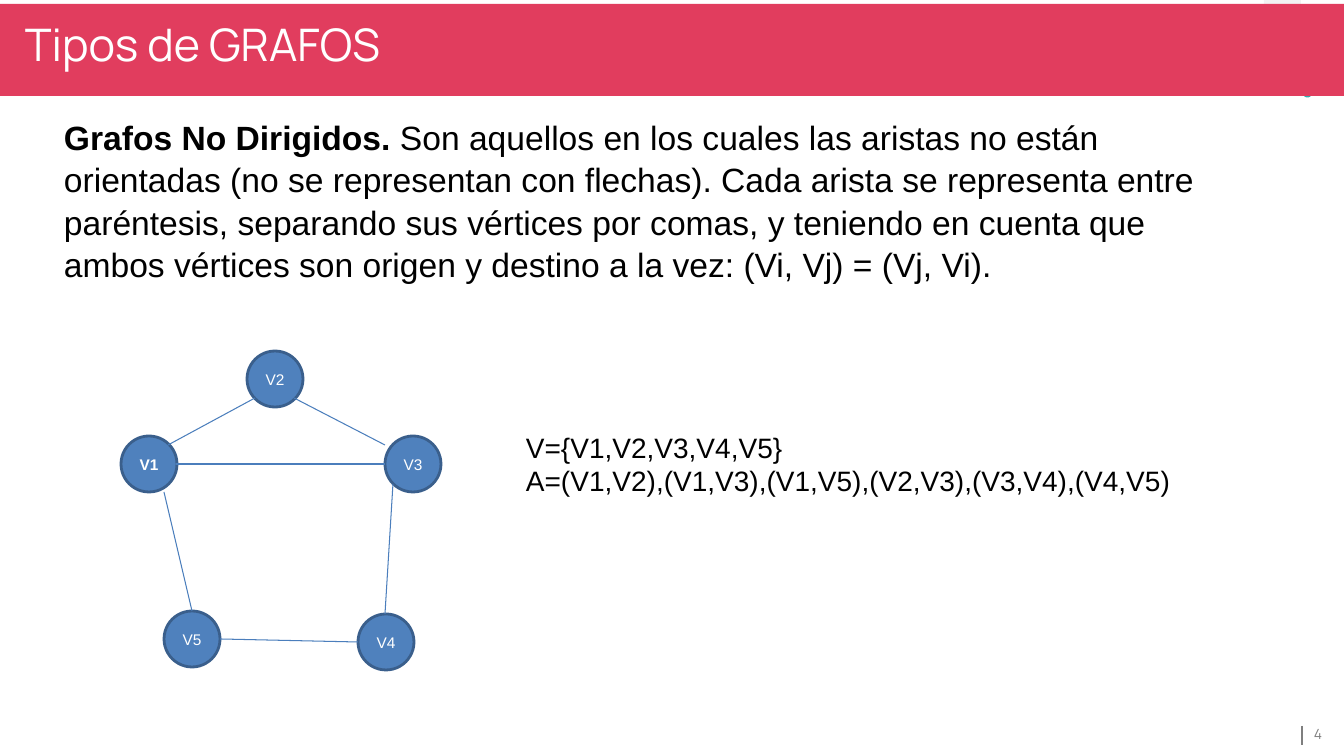
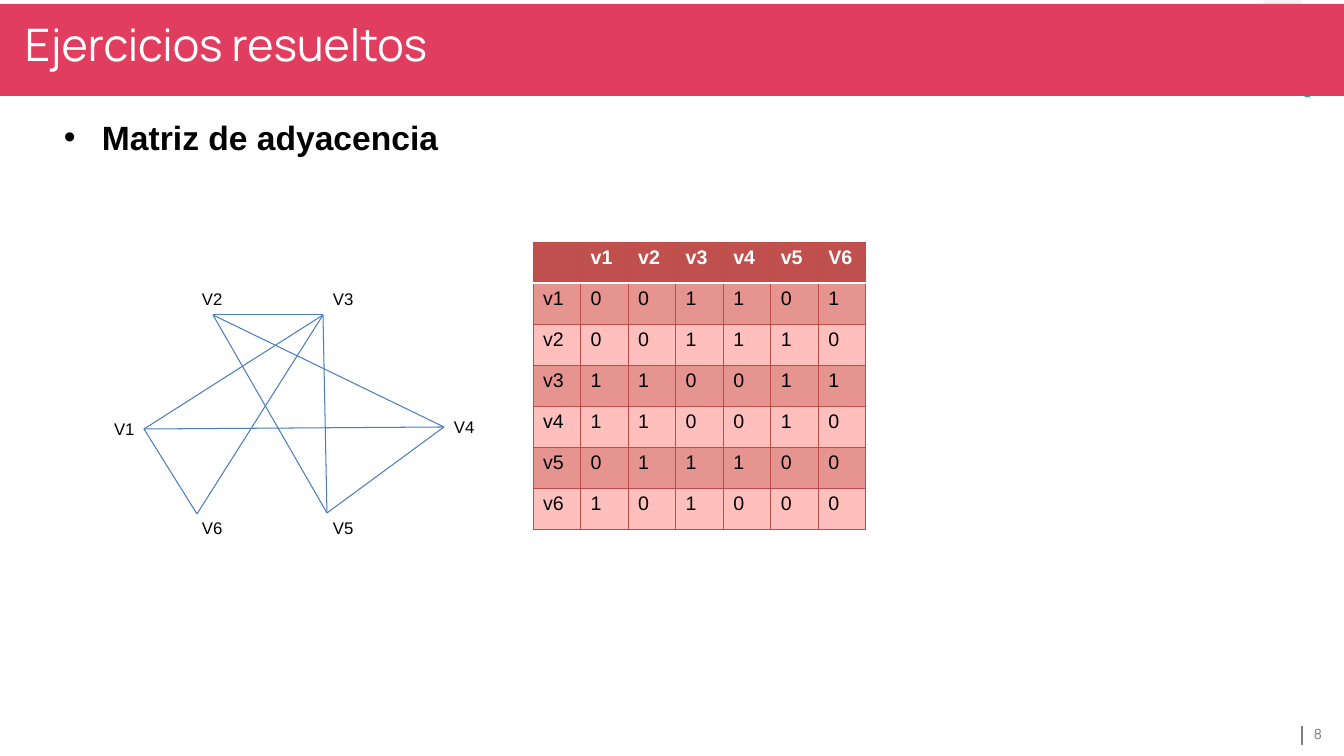
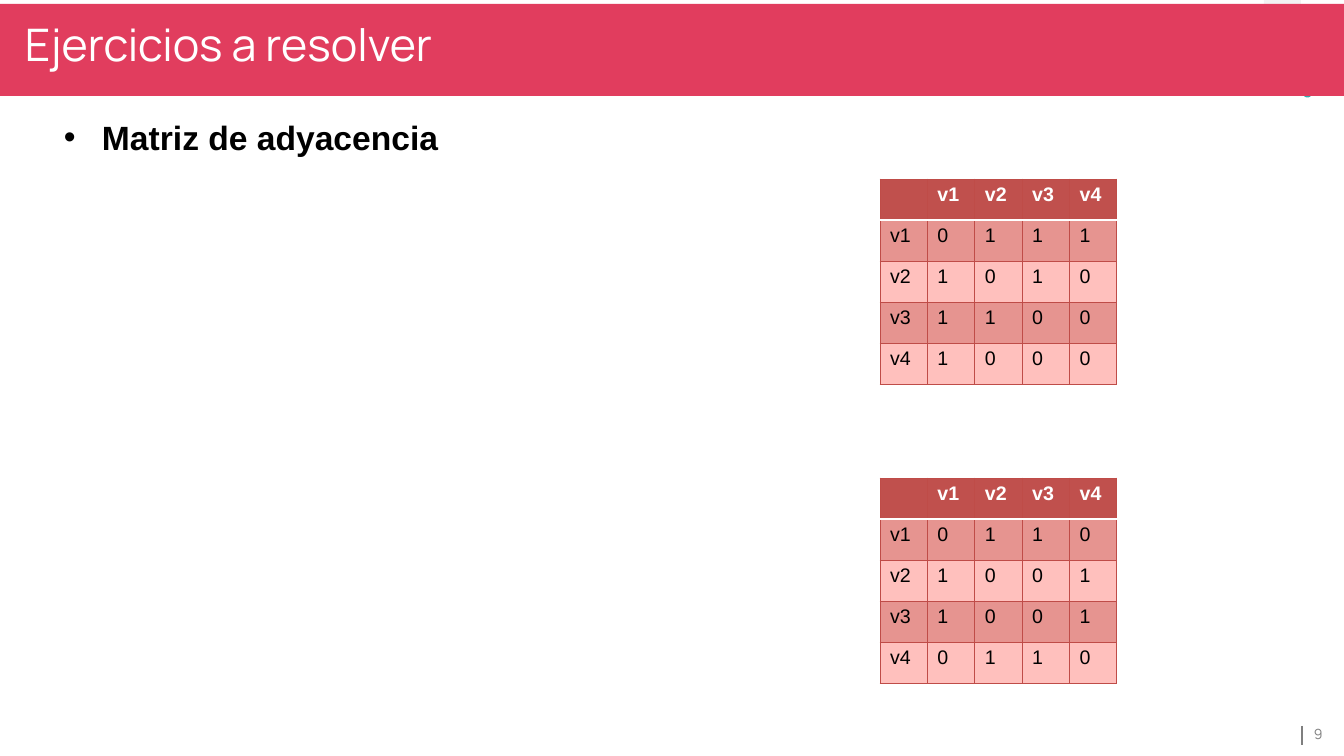
"""Build three slides on graph types and adjacency matrices."""
from dataclasses import dataclass

from lxml.etree import SubElement
from pptx import Presentation
from pptx.dml.color import RGBColor
from pptx.enum.shapes import MSO_CONNECTOR as Connector, MSO_SHAPE as Shape
from pptx.enum.text import MSO_ANCHOR as Anchor, PP_ALIGN as Align
from pptx.oxml.ns import qn
from pptx.util import Emu, Pt


@dataclass(frozen=True)
class Theme:
    band: str = "E13D5E"
    corner: str = "F2F2F2"
    accent: str = "32AAAF"
    footer: str = "7F7F7F"
    ink: str = "000000"
    paper: str = "FFFFFF"
    node: str = "4F81BD"
    node_line: str = "3A5F8C"
    edge: str = "4B7EBC"
    head: str = "C0504D"
    grid: str = "BF4C48"
    odd_row: str = "E69490"
    even_row: str = "FFC0BD"
    title_font: str = "Manrope"
    body_font: str = "Arial"
    title_size: int = 32
    body_size: int = 24
    sets_size: int = 20
    cell_size: int = 14
    label_size: int = 12
    node_size: int = 11
    footer_size: int = 10


THEME = Theme()
SCALE = 914400 / 100.8
ROW_HEIGHT = 41
NODE_DIAMETER = 56
LABEL_SIZE = (41, 30)
INSETS = (10, 5, 10, 5)
BODY_AREA = (54, 110, 1178, 34)

DEFINITION = (
    ("Grafos No Dirigidos. ", True),
    ("Son aquellos en los cuales las aristas no están orientadas (no se representan con flechas). "
     "Cada arista se representa entre paréntesis, separando sus vértices por comas, y teniendo en "
     "cuenta que ambos vértices son origen y destino a la vez: (Vi, Vj) = (Vj, Vi).", False),
)
SETS = ("V={V1,V2,V3,V4,V5}", "A=(V1,V2),(V1,V3),(V1,V5),(V2,V3),(V3,V4),(V4,V5)")
NODES = {"V2": (247, 351), "V1": (121, 436), "V3": (385, 436), "V4": (358, 614), "V5": (164, 611)}
BOLD_NODE = "V1"
NODE_EDGES = (
    ((168, 445), (255, 398)),
    ((164, 492), (192, 611)),
    ((294, 398), (385, 445)),
    ((393, 484), (385, 614)),
    ((358, 642), (220, 639)),
    ((176, 464), (385, 464)),
)

HEADING = (("Matriz de adyacencia", True),)
VERTICES = {
    "V1": ((144, 429), (104, 414)),
    "V2": ((213, 315), (192, 284)),
    "V3": ((323, 315), (323, 284)),
    "V4": ((444, 427), (444, 412)),
    "V5": ((327, 513), (323, 513)),
    "V6": ((197, 514), (192, 513)),
}
VERTEX_EDGES = ("V1 V3", "V1 V4", "V1 V6", "V2 V3", "V2 V4", "V2 V5", "V3 V5", "V3 V6", "V4 V5")

SOLVED = ((533, 242, 333), ("v1", "v2", "v3", "v4", "v5", "V6"),
          ("001101", "001110", "110011", "110010", "011100", "101000"))
FOUR = ("v1", "v2", "v3", "v4")
EXERCISES = (
    ((880, 179, 237), FOUR, ("0111", "1010", "1100", "1000")),
    ((880, 478, 237), FOUR, ("0110", "1001", "1001", "0110")),
)


def px(length):
    return Emu(round(length * SCALE))


def style(font, size, color=THEME.ink, bold=False, name=THEME.body_font):
    font.size, font.bold, font.name = Pt(size), bold, name
    font.color.rgb = RGBColor.from_string(color)


def add_box(page, area, insets=INSETS, wrap=True):
    box = page.shapes.add_textbox(*map(px, area))
    frame = box.text_frame
    frame.word_wrap = wrap
    frame.margin_left, frame.margin_top, frame.margin_right, frame.margin_bottom = map(px, insets)
    return frame


def add_lines(page, area, lines, size, insets=INSETS, wrap=False, **look):
    frame = add_box(page, area, insets, wrap)
    frame.text = "\n".join(lines)
    for para in frame.paragraphs:
        style(para.font, size, **look)
    return frame


def add_body(page, spans, bullet=False):
    para = add_box(page, BODY_AREA).paragraphs[0]
    para.line_spacing = 1.05
    if bullet:
        properties = para._p.get_or_add_pPr()
        properties.set("marL", str(px(38)))
        properties.set("indent", str(-px(38)))
        SubElement(properties, qn("a:buFont"), typeface=THEME.body_font)
        SubElement(properties, qn("a:buChar"), char="•")
    for text, bold in spans:
        span = para.add_run()
        span.text = text
        style(span.font, THEME.body_size, bold=bold)


def add_shape(page, kind, area, fill, line=None):
    shape = page.shapes.add_shape(kind, *map(px, area))
    shape.shadow.inherit = False
    shape.fill.solid()
    shape.fill.fore_color.rgb = RGBColor.from_string(fill)
    if line:
        shape.line.color.rgb = RGBColor.from_string(line)
        shape.line.width = Pt(2)
    else:
        shape.line.fill.background()
    return shape


def add_line(page, start, end, color=THEME.edge, width=0.75):
    line = page.shapes.add_connector(Connector.STRAIGHT, *map(px, (*start, *end)))
    line.line.color.rgb = RGBColor.from_string(color)
    line.line.width = Pt(width)
    SubElement(line._element.spPr, qn("a:effectLst"))


def add_node(page, name, corner):
    node = add_shape(page, Shape.OVAL, (*corner, NODE_DIAMETER, NODE_DIAMETER),
                     THEME.node, THEME.node_line)
    frame = node.text_frame
    frame.text = name
    frame.vertical_anchor = Anchor.MIDDLE
    para = frame.paragraphs[0]
    para.alignment = Align.CENTER
    style(para.font, THEME.node_size, THEME.paper, name == BOLD_NODE)


def set_borders(cell, row):
    properties = cell._tc.get_or_add_tcPr()
    white_side = {0: "lnB", 1: "lnT"}.get(row)
    for index, side in enumerate(("lnL", "lnR", "lnT", "lnB")):
        white = side == white_side
        border = SubElement(properties, qn("a:" + side), w=str(Pt(2 if white else 0.75)))
        fill = SubElement(border, qn("a:solidFill"))
        SubElement(fill, qn("a:srgbClr"), val=THEME.paper if white else THEME.grid)
        properties.insert(index, border)


def add_matrix(page, place, names, values):
    left, top, width = place
    rows = [("", *names)]
    rows += [(name.lower(), *digits) for name, digits in zip(names, values)]
    count = len(rows)
    area = map(px, (left, top, width, ROW_HEIGHT * count))
    table = page.shapes.add_table(count, count, *area).table
    for column in table.columns:
        column.width = px(width / count)
    for r, texts in enumerate(rows):
        table.rows[r].height = px(ROW_HEIGHT)
        fill = THEME.head if r == 0 else THEME.odd_row if r % 2 else THEME.even_row
        for c, text in enumerate(texts):
            cell = table.cell(r, c)
            cell.text = text
            cell.fill.solid()
            cell.fill.fore_color.rgb = RGBColor.from_string(fill)
            style(cell.text_frame.paragraphs[0].font, THEME.cell_size,
                  THEME.ink if r else THEME.paper, r == 0)
            set_borders(cell, r)


def add_page(deck, title, number):
    page = deck.slides.add_slide(deck.slide_layouts[6])
    add_shape(page, Shape.RECTANGLE, (1264, 0, 37, 4), THEME.corner)
    accent = add_shape(page, Shape.ROUND_2_SAME_RECTANGLE, (1321, 45, 9, 60), THEME.accent)
    accent.adjustments[0] = 0.5
    accent.rotation = 225
    add_line(page, (1302, 726), (1302, 745), THEME.footer, 1)
    footer = add_lines(page, (1310, 720, 36, 28), [number], THEME.footer_size, (4, 4, 4, 4),
                       color=THEME.footer, name=THEME.title_font)
    footer.vertical_anchor = Anchor.MIDDLE
    add_shape(page, Shape.RECTANGLE, (-3, 4, 1350, 92), THEME.band)
    add_lines(page, (12, 4, 1262, 65), [title], THEME.title_size, (13, 13, 13, 13), True,
              color=THEME.paper, name=THEME.title_font)
    return page


def add_types_page(deck):
    page = add_page(deck, "Tipos de GRAFOS", "4")
    add_body(page, DEFINITION)
    for name, corner in NODES.items():
        add_node(page, name, corner)
    for start, end in NODE_EDGES:
        add_line(page, start, end)
    add_lines(page, (516, 425, 669, 78), SETS, THEME.sets_size)


def add_solved_page(deck):
    page = add_page(deck, "Ejercicios resueltos", "8")
    add_body(page, HEADING, bullet=True)
    add_matrix(page, *SOLVED)
    for name, (_, corner) in VERTICES.items():
        add_lines(page, (*corner, *LABEL_SIZE), [name], THEME.label_size)
    for edge in VERTEX_EDGES:
        start, end = (VERTICES[name][0] for name in edge.split())
        add_line(page, start, end)


def add_exercises_page(deck):
    page = add_page(deck, "Ejercicios a resolver", "9")
    add_body(page, HEADING, bullet=True)
    for exercise in EXERCISES:
        add_matrix(page, *exercise)


def main():
    deck = Presentation()
    deck.slide_width, deck.slide_height = px(1344), px(756)
    add_types_page(deck)
    add_solved_page(deck)
    add_exercises_page(deck)
    deck.save("out.pptx")


if __name__ == "__main__":
    main()
